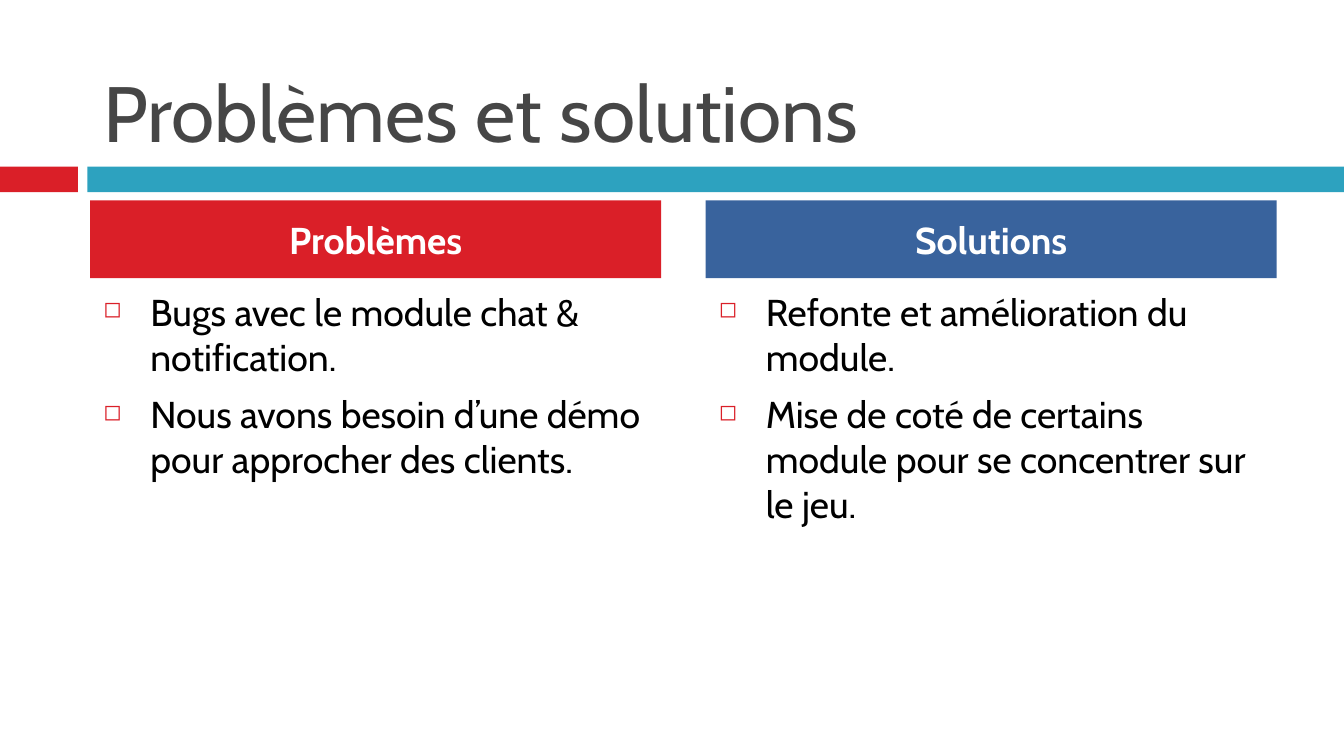
import dataclasses

import lxml.etree
import pptx
import pptx.dml.color
import pptx.enum.shapes
import pptx.enum.text
import pptx.oxml.ns
import pptx.util

Inches = pptx.util.Inches
Align = pptx.enum.text.PP_ALIGN
Anchor = pptx.enum.text.MSO_ANCHOR


@dataclasses.dataclass(frozen=True)
class Theme:
    """Colours, font and type sizes of the slide."""
    red: str = "DA1F28"
    teal: str = "2DA2BF"
    blue: str = "39639D"
    heading: str = "464646"
    body: str = "000000"
    white: str = "FFFFFF"
    font: str = "Cabin"
    title_size: int = 42
    text_size: int = 20
    space_before: int = 7


THEME = Theme()
SLIDE_WIDTH = 10
LEFT = 0.67
COLUMN_WIDTH = 4.25
COLUMN_STEP = 4.58
COLUMNS = [
    ("Problèmes", THEME.red, [
        "Bugs avec le module chat & notification.",
        "Nous avons besoin d’une démo pour approcher des clients.",
    ]),
    ("Solutions", THEME.blue, [
        "Refonte et amélioration du module.",
        "Mise de coté de certains module pour se concentrer sur le jeu.",
    ]),
]


def rgb(colour):
    """Turn a hex string into a colour."""
    return pptx.dml.color.RGBColor.from_string(colour)


def write(frame, lines, size, colour, anchor, align=Align.LEFT, bold=False):
    """Fill a text frame with evenly formatted paragraphs."""
    frame.word_wrap = True
    frame.auto_size = pptx.enum.text.MSO_AUTO_SIZE.NONE
    frame.vertical_anchor = anchor
    frame.text = "\n".join(lines)
    for paragraph in frame.paragraphs:
        paragraph.alignment = align
        for run in paragraph.runs:
            run.font.name = THEME.font
            run.font.size = pptx.util.Pt(size)
            run.font.bold = bold
            run.font.color.rgb = rgb(colour)


def add_bullet(paragraph):
    """Give a paragraph a small red square bullet with a hanging indent."""
    paragraph.space_before = pptx.util.Pt(THEME.space_before)
    properties = paragraph._p.get_or_add_pPr()
    properties.set("marL", str(Inches(0.35)))
    properties.set("indent", str(Inches(-0.35)))
    qn = pptx.oxml.ns.qn
    bullet_colour = lxml.etree.SubElement(properties, qn("a:buClr"))
    lxml.etree.SubElement(bullet_colour, qn("a:srgbClr"), val=THEME.red)
    lxml.etree.SubElement(properties, qn("a:buSzPct"), val="60000")
    lxml.etree.SubElement(properties, qn("a:buChar"), char="◻")


def add_block(slide, left, top, width, height, colour):
    """Add a plain filled rectangle."""
    block = slide.shapes.add_shape(
        pptx.enum.shapes.MSO_SHAPE.RECTANGLE,
        Inches(left), Inches(top), Inches(width), Inches(height))
    block.shadow.inherit = False
    block.fill.solid()
    block.fill.fore_color.rgb = rgb(colour)
    block.line.fill.background()
    return block


def set_title(slide, wording):
    """Place and format the title."""
    title = slide.shapes.title
    title.left, title.top = Inches(LEFT), Inches(0.13)
    title.width, title.height = Inches(8.92), Inches(1.1)
    write(title.text_frame, [wording], THEME.title_size, THEME.heading,
          Anchor.BOTTOM)


def add_column(slide, left, heading, colour, points):
    """Add a coloured heading with its bulleted points below."""
    header = add_block(slide, left, 1.49, COLUMN_WIDTH, 0.58, colour)
    write(header.text_frame, [heading], THEME.text_size, THEME.white,
          Anchor.MIDDLE, Align.CENTER, True)
    body = slide.shapes.add_textbox(
        Inches(left), Inches(2.1), Inches(COLUMN_WIDTH), Inches(2.88))
    write(body.text_frame, points, THEME.text_size, THEME.body, Anchor.TOP)
    for paragraph in body.text_frame.paragraphs:
        add_bullet(paragraph)


def main():
    """Build and save the slide."""
    deck = pptx.Presentation()
    deck.slide_width = Inches(SLIDE_WIDTH)
    deck.slide_height = Inches(SLIDE_WIDTH * 9 / 16)
    slide = deck.slides.add_slide(deck.slide_layouts[5])
    add_block(slide, 0, 1.24, 0.58, 0.19, THEME.red)
    add_block(slide, 0.65, 1.24, 9.35, 0.19, THEME.teal)
    set_title(slide, "Problèmes et solutions")
    for index, (heading, colour, points) in enumerate(COLUMNS):
        add_column(slide, LEFT + index * COLUMN_STEP, heading, colour, points)
    deck.save("out.pptx")


main()
